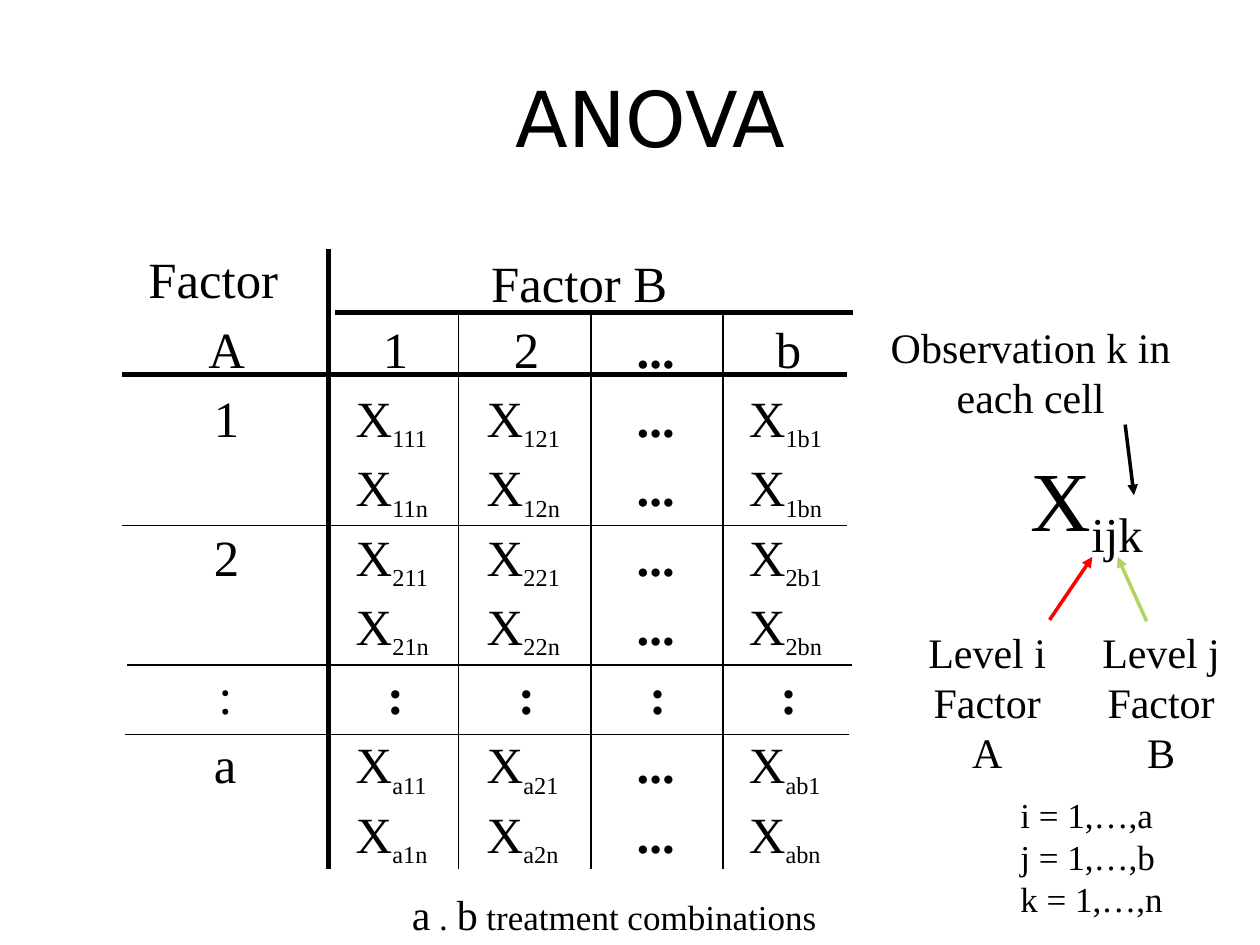
from lxml.etree import SubElement
from pptx import Presentation
from pptx.dml.color import RGBColor
from pptx.enum.shapes import MSO_CONNECTOR
from pptx.enum.text import MSO_ANCHOR, PP_ALIGN
from pptx.oxml.ns import qn
from pptx.util import Inches, Pt

COLORS = {"ink": "000000", "level_a": "FF0000", "level_b": "B0D460"}
SERIF = "Times New Roman"
WIDTH, HEIGHT = 10, 7.5
COLUMN, ROW = 1.04, 0.55
TABLE_ROWS = [
    ["A", "1", "2", "...", "b"],
    ["1", "X_111", "X_121", "...", "X_1b1"],
    ["", "X_11n", "X_12n", "...", "X_1bn"],
    ["2", "X_211", "X_221", "...", "X_2b1"],
    ["", "X_21n", "X_22n", "...", "X_2bn"],
    [":", ":", ":", ":", ":"],
    ["a", "X_a11", "X_a21", "...", "X_ab1"],
    ["", "X_a1n", "X_a2n", "...", "X_abn"],
]


def add_text(slide, text, left, top, width, height, size=24, sub_size=None, font=SERIF,
             bold=False, align=PP_ALIGN.LEFT, anchor=MSO_ANCHOR.TOP, wrap=True):
    """Add a text box; text is a string with an optional _subscript, or (text, size) pairs."""
    shape = slide.shapes.add_textbox(Inches(left), Inches(top), Inches(width), Inches(height))
    frame = shape.text_frame
    frame.word_wrap = wrap
    frame.vertical_anchor = anchor
    paragraph = frame.paragraphs[0]
    paragraph.alignment = align
    if isinstance(text, str):
        base, _, subscript = text.partition("_")
        pieces = [(base, size, False), (subscript, sub_size or size, True)]
    else:
        pieces = [(piece, piece_size, False) for piece, piece_size in text]
    for piece, piece_size, lowered in pieces:
        for index, part in enumerate(piece.split("\n") if piece else []):
            if index:
                paragraph.add_line_break()
            run = paragraph.add_run()
            run.text = part
            run.font.size = Pt(piece_size)
            run.font.name = font
            run.font.bold = bold
            run.font.color.rgb = RGBColor.from_string(COLORS["ink"])
            if lowered:
                run.font._element.set("baseline", "-25000")


def add_line(slide, start, end, weight, color="ink", arrow=False):
    """Draw a straight line, with an arrowhead at its end if asked."""
    line = slide.shapes.add_connector(MSO_CONNECTOR.STRAIGHT, *map(Inches, (*start, *end)))
    line.line.width = Pt(weight)
    line.line.color.rgb = RGBColor.from_string(COLORS[color])
    if arrow:
        SubElement(line.line._get_or_add_ln(), qn("a:tailEnd"), type="triangle")
    SubElement(line._element.spPr, qn("a:effectLst"))


def cell_width(text):
    """Return the width of the box that a table entry needs."""
    if text.startswith("X"):
        return 0.83
    return {"...": 0.53, ":": 0.33, "A": 0.49}.get(text, 0.4)


def add_observations(slide, left, top):
    """Place the two-way table, with its entries centred on columns."""
    first_row = top + ROW
    add_text(slide, "Factor", left + 0.11, top, 1.24, 0.59, size=29, wrap=False)
    add_text(slide, "Factor B", left + 2.83, top + 0.03, 1.61, 0.59, size=29, wrap=False)
    for row, entries in enumerate(TABLE_ROWS):
        for column, text in enumerate(entries):
            if not text:
                continue
            center = left + (2.17 + (column - 1) * COLUMN if column else 0.83)
            width = cell_width(text)
            bold = text == "..." or (text == ":" and column > 0)
            add_text(slide, text, center - width / 2, first_row + row * ROW, width, 0.59,
                     size=29, sub_size=24, bold=bold, wrap=False)
    add_rules(slide, left, top)


def add_rules(slide, left, top):
    """Draw the horizontal and vertical rules of the two-way table."""
    bottom = top + 4.98
    for indent, drop, weight in [(0, 1.05, 3), (0, 2.25, 1), (0.04, 3.36, 1), (0.02, 3.91, 1)]:
        y = top + drop
        add_line(slide, (left + indent, y), (left + indent + 5.75, y), weight)
    add_line(slide, (left + 1.64, top + 0.06), (left + 1.64, bottom), 3)
    for column in range(3):
        x = left + 2.67 + column * 1.05
        add_line(slide, (x, top + 0.54), (x, bottom), 1)
    add_line(slide, (left + 1.69, top + 0.56), (left + 5.8, top + 0.56), 3)


def add_notation(slide, left, top):
    """Explain the indices of one observation with labels and arrows."""
    center = PP_ALIGN.CENTER
    add_text(slide, "X_ijk", left + 1.08, top + 1, 1.25, 0.9, size=48, align=center)
    add_text(slide, "Observation k in each cell", left, top, 2.52, 0.91, align=center)
    for label, indent in [("Level i Factor A", 0.29), ("Level j Factor B", 1.67)]:
        add_text(slide, label, left + indent, top + 2.42, 1.25, 1.31, align=center)
    arrows = [
        ((2.01, 0.87), (2.08, 1.43), "ink"),
        ((1.41, 2.42), (1.75, 1.92), "level_a"),
        ((2.18, 2.43), (1.95, 1.92), "level_b"),
    ]
    for (x1, y1), (x2, y2), color in arrows:
        add_line(slide, (left + x1, top + y1), (left + x2, top + y2), 2, color, arrow=True)
    add_text(slide, "i = 1,…,a\nj = 1,…,b\nk = 1,…,n", left + 1.08, top + 3.75, 1.5, 1.1, size=20)


def main():
    """Build and save the slide."""
    presentation = Presentation()
    presentation.slide_width, presentation.slide_height = Inches(WIDTH), Inches(HEIGHT)
    slide = presentation.slides.add_slide(presentation.slide_layouts[6])
    add_text(slide, "ANOVA", WIDTH * 0.05, HEIGHT * 0.04, 9.33, 1.25, size=44,
             font="DejaVu Sans", align=PP_ALIGN.CENTER, anchor=MSO_ANCHOR.MIDDLE)
    add_observations(slide, left=0.97, top=1.92)
    add_notation(slide, left=6.92, top=2.5)
    add_text(slide, [("a", 24), (" . ", 20), ("b", 24), (" treatment combinations", 20)],
             3.17, 7, 4.75, 0.5)
    presentation.save("out.pptx")


if __name__ == "__main__":
    main()
